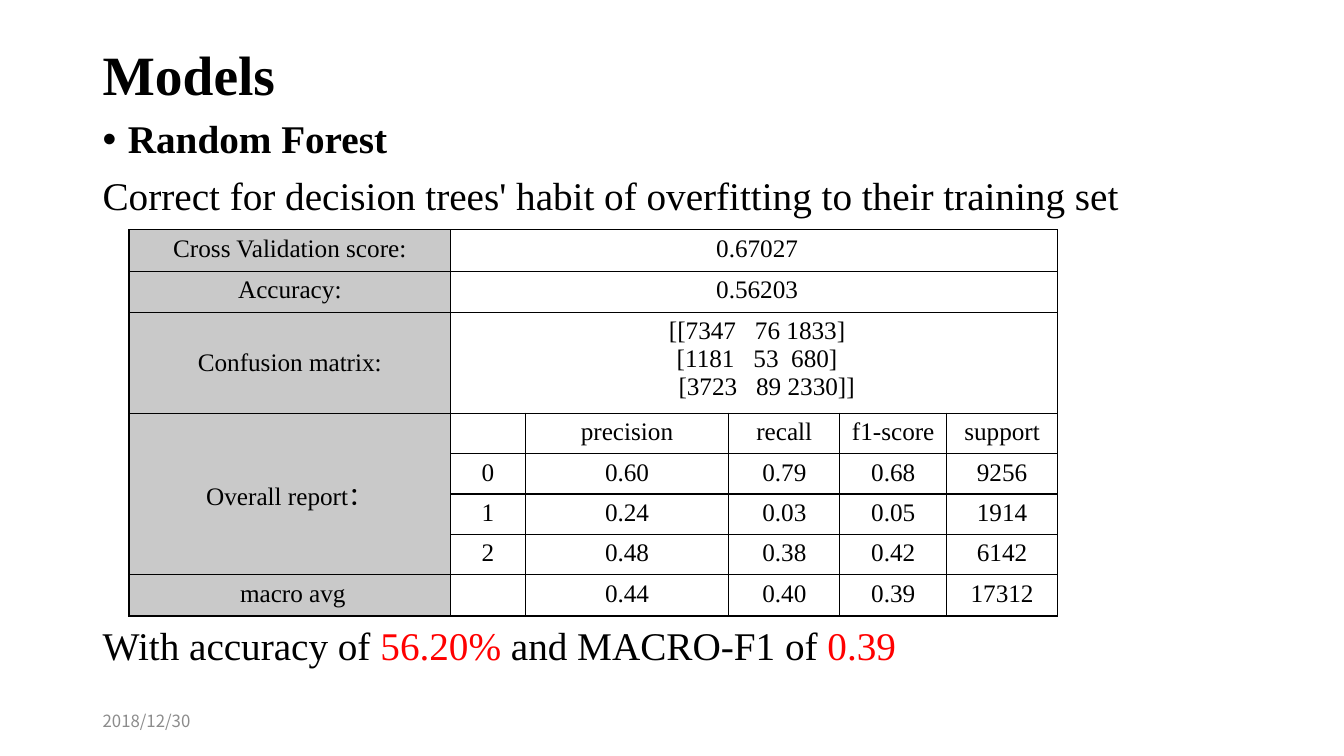
from pptx import Presentation
from pptx.dml.color import RGBColor
from pptx.enum.text import MSO_ANCHOR, PP_ALIGN
from pptx.oxml import parse_xml
from pptx.oxml.ns import nsdecls
from pptx.util import Inches, Pt

BLACK = RGBColor(0, 0, 0)
RED = RGBColor(0xFF, 0, 0)
GRAY = RGBColor(0x8C, 0x8C, 0x8C)
SHADE = RGBColor(0xC9, 0xC9, 0xC9)
WHITE = RGBColor(0xFF, 0xFF, 0xFF)
SERIF = "Times New Roman"
SANS = "Noto Sans CJK SC"


def write(frame, lines, size=28, font=SERIF, color=BLACK, bold=False,
          align=PP_ALIGN.LEFT, anchor=MSO_ANCHOR.TOP, space=None, before=0):
    """Each line is a list of runs: plain text or (text, format) pairs."""
    frame.word_wrap = True
    frame.vertical_anchor = anchor
    for i, line in enumerate(lines):
        para = frame.add_paragraph() if i else frame.paragraphs[0]
        para.alignment = align
        para.line_spacing = space
        para.space_before = Pt(before)
        for part in line:
            text, form = part if isinstance(part, tuple) else (part, {})
            run = para.add_run()
            run.text = text
            run.font.size = Pt(size)
            run.font.name = font
            run.font.bold = form.get("bold", bold)
            run.font.color.rgb = form.get("color", color)


def add_text(slide, box, lines, **form):
    frame = slide.shapes.add_textbox(*map(Inches, box)).text_frame
    write(frame, lines, **form)
    return frame


def indent(para, left, first=0):
    props = para._p.get_or_add_pPr()
    props.set("marL", str(Inches(left)))
    props.set("indent", str(Inches(first)))
    return props


def add_intro(slide, box):
    frame = add_text(slide, box, [
        [("Random Forest", {"bold": True})],
        ["Correct for decision trees' habit of\u00a0overfitting\u00a0to "
         "their\u00a0training set"],
    ], space=0.9, before=10)
    props = indent(frame.paragraphs[0], 0.25, -0.25)
    for mark in ('<a:buFont %s typeface="Arial"/>', '<a:buChar %s char="•"/>'):
        props.append(parse_xml(mark % nsdecls("a")))


def add_close(slide, box):
    red = {"color": RED}
    add_text(slide, box, [["With accuracy of ", ("56.20% ", red),
                           "and MACRO-F1 of ", ("0.39", red)]],
             space=0.9, before=10)


def edge(cell):
    props = cell._tc.get_or_add_tcPr()
    for i, side in enumerate(("lnL", "lnR", "lnT", "lnB")):
        props.insert(i, parse_xml(
            f'<a:{side} {nsdecls("a")} w="12700"><a:solidFill>'
            f'<a:srgbClr val="{BLACK}"/></a:solidFill></a:{side}>'))


def add_scores(slide, box):
    cols = [3.19, 0.74, 2.02, 1.1, 1.06, 1.1]
    rows = [0.41, 0.41, 0.93] + [0.38] * 4 + [0.41]
    matrix = "[[7347   76 1833]\n[1181   53  680]\n[3723   89 2330]]"
    data = [
        ["Cross Validation score:", "0.67027"],
        ["Accuracy:", "0.56203"],
        ["Confusion matrix:", matrix],
        ["Overall report：", "", "precision", "recall", "f1-score", "support"],
        ["", "0", "0.60", "0.79", "0.68", "9256"],
        ["", "1", "0.24", "0.03", "0.05", "1914"],
        ["", "2", "0.48", "0.38", "0.42", "6142"],
        ["macro avg", "", "0.44", "0.40", "0.39", "17312"],
    ]
    table = slide.shapes.add_table(len(rows), len(cols),
                                   *map(Inches, box)).table
    table.first_row = table.horz_banding = False
    for col, wide in zip(table.columns, cols):
        col.width = Inches(wide)
    for row, high in zip(table.rows, rows):
        row.height = Inches(high)

    # Merged areas: wide values and the report label
    for r in range(3):
        table.cell(r, 1).merge(table.cell(r, 5))
    table.cell(3, 0).merge(table.cell(6, 0))

    # Fills, borders and words
    for r, line in enumerate(data):
        for c in range(len(cols)):
            cell = table.cell(r, c)
            cell.fill.solid()
            cell.fill.fore_color.rgb = WHITE if c else SHADE
            edge(cell)
            text = line[c] if c < len(line) else ""
            if text:
                tall = c == 0 and r in (2, 3)
                write(cell.text_frame, [[t] for t in text.split("\n")],
                      size=18, align=PP_ALIGN.CENTER)
                cell.vertical_anchor = (MSO_ANCHOR.MIDDLE if tall
                                        else MSO_ANCHOR.TOP)
    # Small shifts to the right of centre
    for r, c in ((0, 1), (1, 1), (2, 1), (7, 0)):
        table.cell(r, c).margin_left = Inches(0.16)
    indent(table.cell(2, 1).text_frame.paragraphs[2], 0.19)


def add_slide(deck):
    slide = deck.slides.add_slide(deck.slide_layouts[6])
    left, wide = 0.92, 11.5
    add_text(slide, (left, 0.4, wide, 0.74), [["Models"]], size=39.6,
             bold=True, anchor=MSO_ANCHOR.MIDDLE, space=0.9)
    add_intro(slide, (left, 1.14, wide, 1.1))
    add_scores(slide, (1.28, 2.28, 9.21, 3.67))
    add_close(slide, (left, 6.17, wide, 0.55))
    add_text(slide, (left, 6.95, 3, 0.4), [["2018/12/30"]], size=12,
             font=SANS, color=GRAY, anchor=MSO_ANCHOR.MIDDLE)


deck = Presentation()
deck.slide_width, deck.slide_height = Inches(13.33), Inches(7.5)
add_slide(deck)
deck.save("out.pptx")
